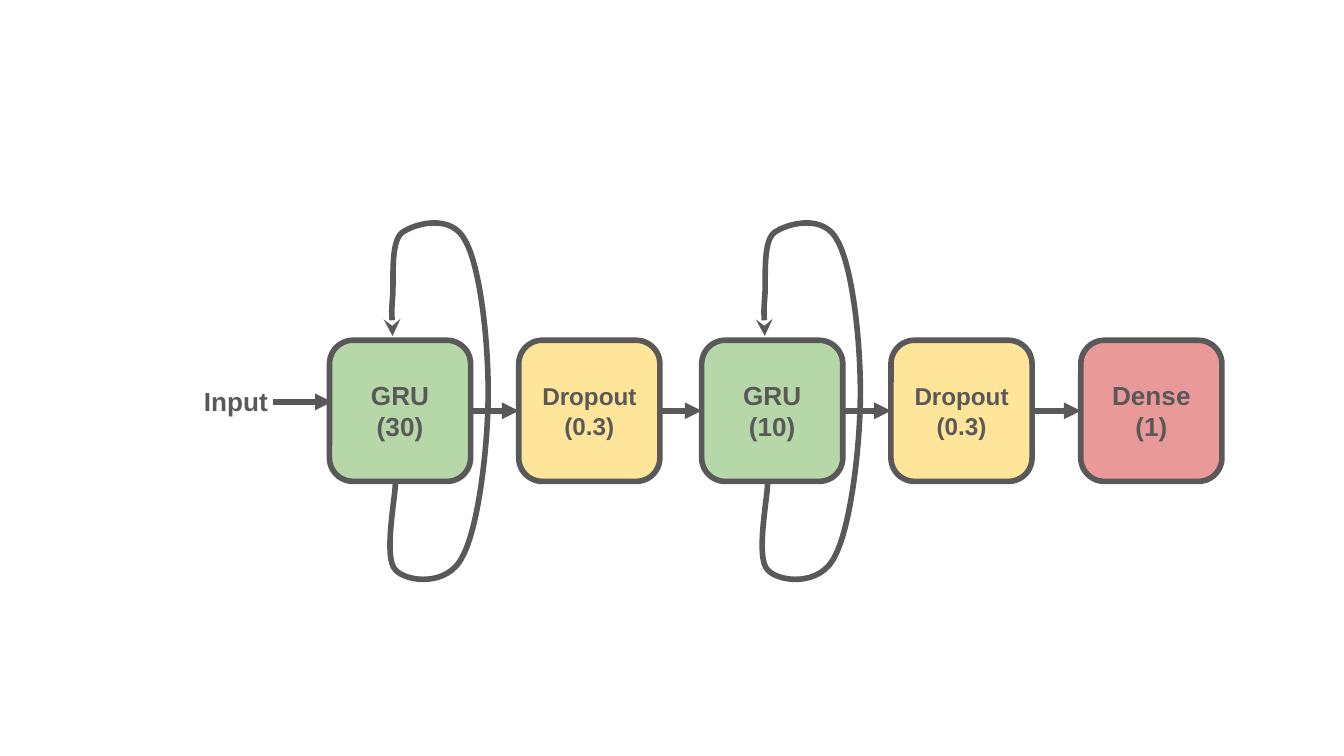
from dataclasses import dataclass

from lxml import etree
from pptx import Presentation
from pptx.dml.color import RGBColor
from pptx.enum.shapes import MSO_CONNECTOR, MSO_SHAPE
from pptx.enum.text import MSO_ANCHOR, MSO_AUTO_SIZE, PP_ALIGN
from pptx.oxml.ns import qn
from pptx.util import Pt

ROUND_RECT = MSO_SHAPE.ROUNDED_RECTANGLE
STRAIGHT = MSO_CONNECTOR.STRAIGHT
CENTER = PP_ALIGN.CENTER
MIDDLE, TOP = MSO_ANCHOR.MIDDLE, MSO_ANCHOR.TOP
FIT_SHAPE = MSO_AUTO_SIZE.SHAPE_TO_FIT_TEXT
SIDE_LEFT, SIDE_RIGHT = 1, 3


@dataclass(frozen=True)
class Theme:
    ink: RGBColor = RGBColor(0x59, 0x59, 0x59)
    green: RGBColor = RGBColor(0xB6, 0xD7, 0xA8)
    yellow: RGBColor = RGBColor(0xFF, 0xE5, 0x99)
    red: RGBColor = RGBColor(0xEA, 0x99, 0x99)
    font: str = "Arial"
    label: int = 14
    small_label: int = 13
    stroke: int = 3


THEME = Theme()
BOX, BOX_TOP = 75.6, 182.3

# Layers: left edge, text lines, fill, type size
LAYERS = [
    (176.5, ("GRU", "(30)"), THEME.green, THEME.label),
    (277.9, ("Dropout", "(0.3)"), THEME.yellow, THEME.small_label),
    (375.9, ("GRU", "(10)"), THEME.green, THEME.label),
    (477.3, ("Dropout", "(0.3)"), THEME.yellow, THEME.small_label),
    (579, ("Dense", "(1)"), THEME.red, THEME.label),
]

# Recurrent loop: start point, then three points per Bézier curve;
# x counts from the left edge of the layer box
LOOP_START = (35.3, 259.2)
LOOP_CURVES = [
    (35.3, 266.4), (28.8, 298.8), (35.3, 305.3),
    (41, 311.8), (63.4, 314.6), (71.3, 298.1),
    (79.9, 282.2), (85, 238.3), (85, 210.2),
    (85, 181.4), (80.6, 142.6), (72.7, 128.9),
    (65.5, 114.5), (46.1, 119.5), (38.9, 124.6),
    (32.4, 129.6), (34.6, 150.5), (33.8, 159.1),
    (33.1, 168.5), (33.8, 176.4), (33.8, 180),
]


def set_text(shape, lines, size, anchor):
    tf = shape.text_frame
    tf.word_wrap = True
    tf.vertical_anchor = anchor
    tf.margin_left = tf.margin_right = tf.margin_top = tf.margin_bottom = Pt(7.2)
    tf.text = "\n".join(lines)
    for p in tf.paragraphs:
        p.alignment = CENTER
        p.font.name = THEME.font
        p.font.size = Pt(size)
        p.font.bold = True
        p.font.color.rgb = THEME.ink


def set_line(shape, arrow=None):
    shape.line.color.rgb = THEME.ink
    shape.line.width = Pt(THEME.stroke)
    if arrow:
        ln = shape.line._get_or_add_ln()
        etree.SubElement(ln, qn("a:tailEnd"), type=arrow)


def add_layer(s, left, lines, fill, size):
    sp = s.shapes.add_shape(ROUND_RECT, Pt(left), Pt(BOX_TOP), Pt(BOX), Pt(BOX))
    sp.shadow.inherit = False
    sp.fill.solid()
    sp.fill.fore_color.rgb = fill
    set_line(sp)
    set_text(sp, lines, size, MIDDLE)
    return sp


def add_arrow(s, x1, x2, y):
    cxn = s.shapes.add_connector(STRAIGHT, Pt(x1), Pt(y), Pt(x2), Pt(y))
    set_line(cxn, "triangle")
    etree.SubElement(cxn._element.spPr, qn("a:effectLst"))
    return cxn


def add_loop(s, left):
    start, *points = [(Pt(left + x), Pt(y)) for x, y in [LOOP_START, *LOOP_CURVES]]
    builder = s.shapes.build_freeform(*start)
    builder.add_line_segments(points, close=False)
    sp = builder.convert_to_shape()
    sp.shadow.inherit = False
    sp.fill.background()
    set_line(sp, "stealth")
    # Turn each three line segments into one cubic curve
    outline = next(sp._element.iter(qn("a:path")))
    segments = outline.findall(qn("a:lnTo"))
    for i in range(0, len(segments), 3):
        curve = etree.SubElement(outline, qn("a:cubicBezTo"))
        for segment in segments[i:i + 3]:
            curve.append(segment[0])
            outline.remove(segment)


def main():
    prs = Presentation()
    prs.slide_width, prs.slide_height = Pt(720), Pt(405)
    s = prs.slides.add_slide(prs.slide_layouts[6])

    # Layers, with a loop on each recurrent one
    boxes = []
    for left, lines, fill, size in LAYERS:
        boxes.append(add_layer(s, left, lines, fill, size))
        if lines[0] == "GRU":
            add_loop(s, left)

    # Input
    tb = s.shapes.add_textbox(Pt(96.5), Pt(199.4), Pt(59.8), Pt(31.7))
    set_text(tb, ["Input"], THEME.label, TOP)
    tb.text_frame.auto_size = FIT_SHAPE
    add_arrow(s, 146.2, 177.8, 215.3)

    # Arrows between neighbouring layers
    for a, b in zip(boxes, boxes[1:]):
        cxn = add_arrow(s, 0, 0, 0)
        cxn.begin_connect(a, SIDE_RIGHT)
        cxn.end_connect(b, SIDE_LEFT)

    prs.save("out.pptx")


if __name__ == "__main__":
    main()
